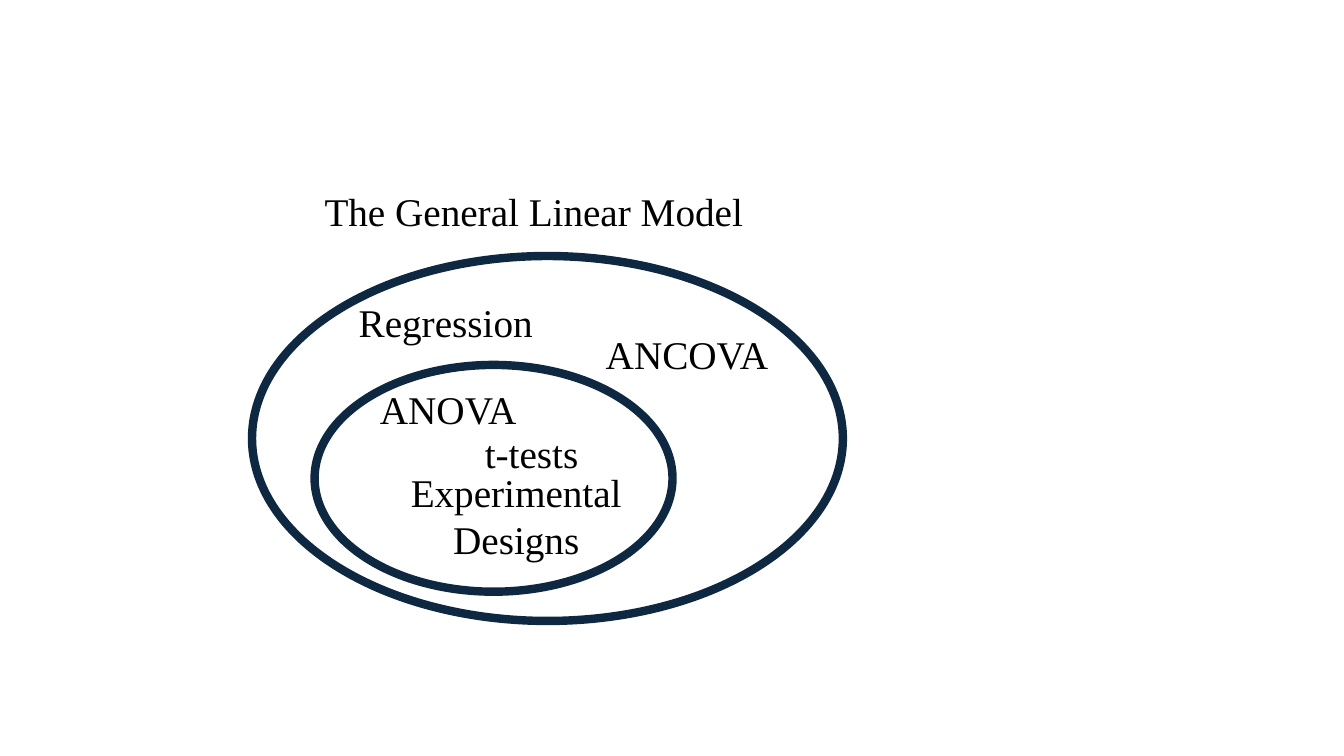
from dataclasses import dataclass

import pptx
import pptx.dml.color
import pptx.enum.shapes
import pptx.enum.text
import pptx.slide
import pptx.util

Inches = pptx.util.Inches
Align = pptx.enum.text.PP_ALIGN

COLORS = {"paper": "FFFFFF", "outline": "0E2841", "text": "000000"}
FONT = {"name": "Times New Roman", "size": pptx.util.Pt(28)}
FRAME = {"word_wrap": True,
         "auto_size": pptx.enum.text.MSO_AUTO_SIZE.SHAPE_TO_FIT_TEXT}


@dataclass
class Oval:
    left: float
    top: float
    width: float
    height: float


@dataclass
class Label:
    text: str
    left: float
    top: float
    width: float
    height: float = 0.57
    align: Align = Align.LEFT


# Model family: each oval is followed by the labels inside it
ITEMS = [
    Oval(2.5, 2.54, 5.86, 3.62),
    Label("The General Linear Model", 3.12, 1.81, 5.79),
    Label("Regression", 3.46, 2.91, 2.14),
    Label("ANCOVA", 5.91, 3.23, 2.14),
    Oval(3.12, 3.62, 3.55, 2.25),
    Label("ANOVA", 3.67, 3.77, 2.14),
    Label("t-tests", 4.71, 4.21, 1.29),
    Label("Experimental Designs", 3.78, 4.6, 2.68, 1.04, Align.CENTER),
]


def color(name: str) -> pptx.dml.color.RGBColor:
    return pptx.dml.color.RGBColor.from_string(COLORS[name])


def box(item: Oval | Label) -> list[pptx.util.Length]:
    return [Inches(v) for v in (item.left, item.top, item.width, item.height)]


def draw_oval(s: pptx.slide.Slide, oval: Oval) -> None:
    sp = s.shapes.add_shape(pptx.enum.shapes.MSO_SHAPE.OVAL, *box(oval))
    sp.shadow.inherit = False
    sp.fill.solid()
    sp.fill.fore_color.rgb = color("paper")
    sp.line.color.rgb = color("outline")
    sp.line.width = pptx.util.Pt(6)


def draw_label(s: pptx.slide.Slide, label: Label) -> None:
    tf = s.shapes.add_textbox(*box(label)).text_frame
    for key, value in FRAME.items():
        setattr(tf, key, value)
    p = tf.paragraphs[0]
    p.alignment = label.align
    r = p.add_run()
    r.text = label.text
    for key, value in FONT.items():
        setattr(r.font, key, value)
    r.font.color.rgb = color("text")


def main() -> None:
    prs = pptx.Presentation()
    prs.slide_width, prs.slide_height = Inches(13.33), Inches(7.5)
    s = prs.slides.add_slide(prs.slide_layouts[6])

    # Draw from back to front
    for item in ITEMS:
        if isinstance(item, Oval):
            draw_oval(s, item)
        else:
            draw_label(s, item)

    prs.save("out.pptx")


if __name__ == "__main__":
    main()
